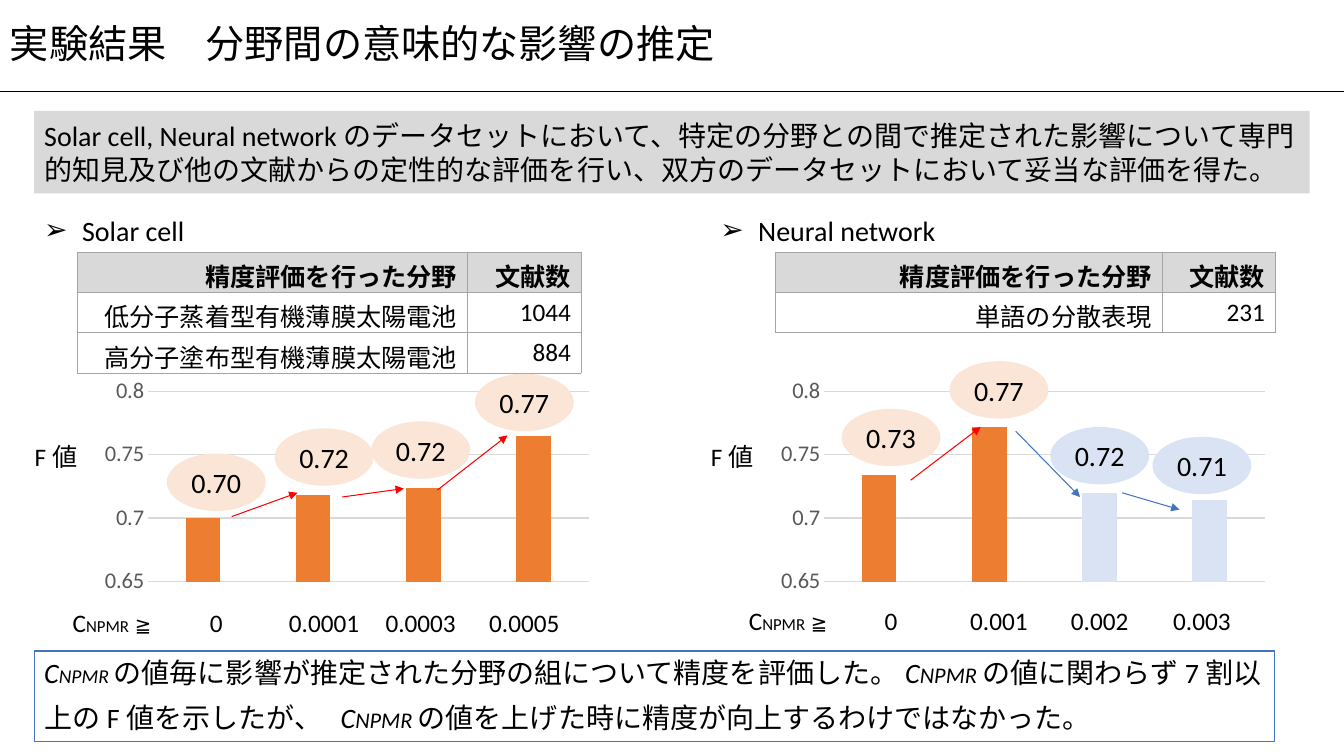
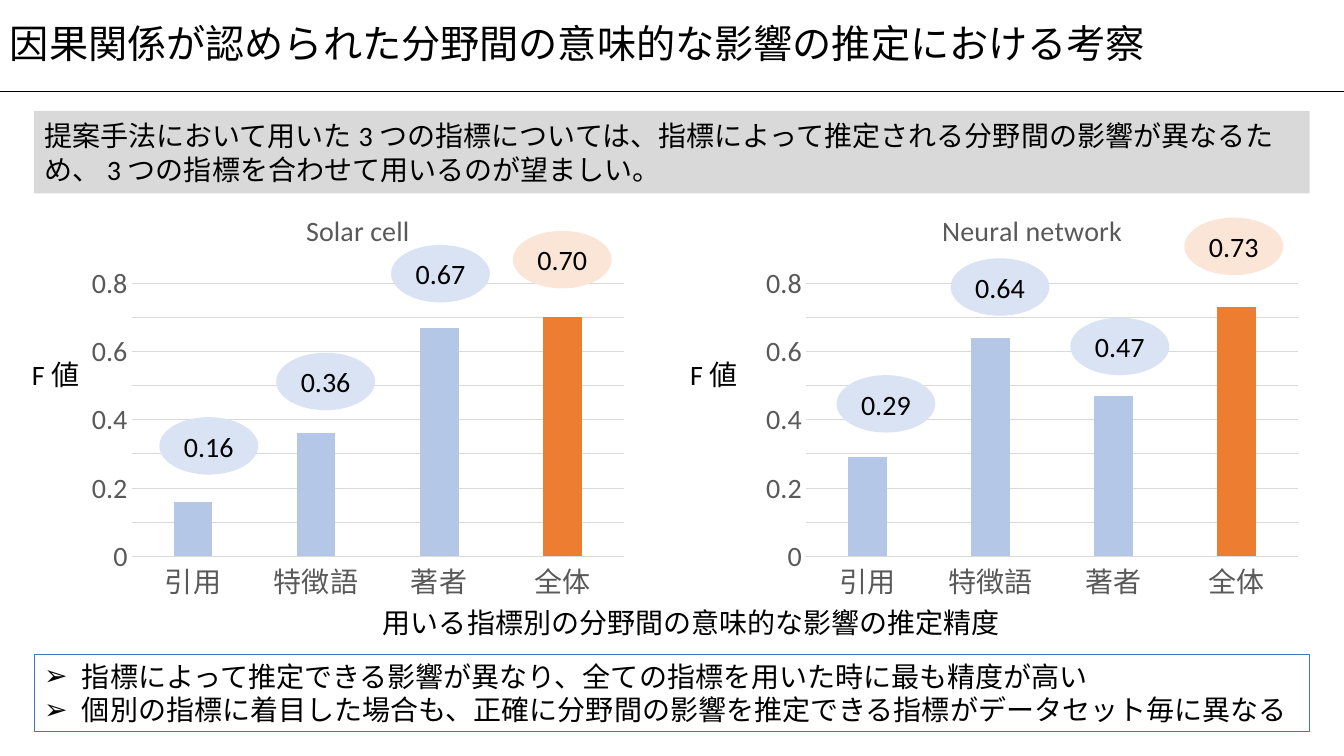
from collections import namedtuple
from dataclasses import dataclass
from itertools import pairwise

from lxml.etree import SubElement
from pptx import Presentation
from pptx.chart.data import CategoryChartData
from pptx.dml.color import RGBColor
from pptx.enum.chart import XL_CHART_TYPE as ChartType, XL_TICK_MARK as TickMark
from pptx.enum.shapes import MSO_CONNECTOR as Connector, MSO_SHAPE as Preset
from pptx.enum.text import MSO_ANCHOR as Anchor, PP_ALIGN as Align
from pptx.oxml.ns import qn
from pptx.util import Pt


@dataclass(frozen=True)
class Theme:
    font: str = "Calibri"
    bullet_font: str = "Arial"
    black: str = "000000"
    gray: str = "D9D9D9"
    border: str = "A5A5A5"
    axis_text: str = "595959"
    orange: str = "ED7D31"
    light_orange: str = "FBE5D6"
    blue: str = "4472C4"
    soft_blue: str = "B4C7E7"
    light_blue: str = "DAE3F3"
    red: str = "FF0000"
    title: int = 28
    body: int = 20
    label: int = 18
    axis: int = 16
    small: int = 14
    tiny: int = 12
    hairline: float = 0.75


THEME = Theme()
PAGE_WIDTH, PAGE_HEIGHT = 960, 540
MARGIN = 24.5
TITLE_HEIGHT = 65.5
OVAL_WIDTH, OVAL_HEIGHT = 70.6, 41
LABEL_WIDTH, LABEL_HEIGHT = 87, 29

Span = namedtuple("Span", "text size italic", defaults=(False,))


class Box(namedtuple("Box", "left top width height")):
    def at(self, left, top, width, height):
        """Box given relative to this one."""
        return Box(self.left + left, self.top + top, width, height)

    def lengths(self):
        return [Pt(value) for value in self]


def color(value):
    return RGBColor.from_string(value)


def set_font(font, size, ink=THEME.black, bold=False, italic=False):
    font.name, font.size = THEME.font, Pt(size)
    font.bold, font.italic = bold, italic
    font.color.rgb = color(ink)


def set_bullet(para):
    props = para._p.get_or_add_pPr()
    props.set("marL", str(Pt(27)))
    props.set("indent", str(-Pt(27)))
    SubElement(props, qn("a:buFont"), typeface=THEME.bullet_font)
    SubElement(props, qn("a:buChar"), char="➢")


def write(frame, text, *, size=THEME.body, bold=False, align=Align.LEFT,
          anchor=Anchor.TOP, spacing=None, bullet=False):
    """Fill a frame from a string (one paragraph a line) or a list of spans."""
    frame.word_wrap = True
    frame.vertical_anchor = anchor
    if isinstance(text, str):
        lines = [[Span(line, size)] for line in text.split("\n")]
    else:
        lines = [text]
    for number, spans in enumerate(lines):
        para = frame.add_paragraph() if number else frame.paragraphs[0]
        para.alignment = align
        if spacing:
            para.line_spacing = spacing
        if bullet:
            set_bullet(para)
        for item in spans:
            span = para.add_run()
            span.text = item.text
            set_font(span.font, item.size, bold=bold, italic=item.italic)


def add_text(page, box, text, **style):
    write(page.shapes.add_textbox(*box.lengths()).text_frame, text, **style)


def add_panel(page, box, text, *, preset=Preset.RECTANGLE, fill=None, line=None, **style):
    shape = page.shapes.add_shape(preset, *box.lengths())
    shape.shadow.inherit = False
    if fill:
        shape.fill.solid()
        shape.fill.fore_color.rgb = color(fill)
    else:
        shape.fill.background()
    if line:
        shape.line.color.rgb = color(line)
        shape.line.width = Pt(THEME.hairline)
    else:
        shape.line.fill.background()
    write(shape.text_frame, text, **style)


def add_line(page, box, start, end, ink, width, arrow=False):
    points = [Pt(value) for x, y in (start, end) for value in (box.left + x, box.top + y)]
    line = page.shapes.add_connector(Connector.STRAIGHT, *points)
    line.line.color.rgb = color(ink)
    line.line.width = Pt(width)
    if arrow:
        SubElement(line.line._get_or_add_ln(), qn("a:tailEnd"), type="triangle")
    SubElement(line._element.spPr, qn("a:effectLst"))


def add_page(deck, title, summary):
    """Page with the shared title, rule and gray summary band."""
    page = deck.slides.add_slide(deck.slide_layouts[6])
    header = Box(0, 0, PAGE_WIDTH, TITLE_HEIGHT)
    add_line(page, header, (0, TITLE_HEIGHT), (PAGE_WIDTH, TITLE_HEIGHT), THEME.black, 1)
    add_text(page, header, title, size=THEME.title, anchor=Anchor.MIDDLE, spacing=0.9)
    add_panel(page, Box(MARGIN, 79.2, PAGE_WIDTH - 2 * MARGIN, 59), summary,
              fill=THEME.gray, anchor=Anchor.MIDDLE)
    return page


def set_borders(cell):
    props = cell._tc.get_or_add_tcPr()
    for number, side in enumerate(("lnL", "lnR", "lnT", "lnB")):
        line = props.makeelement(qn(f"a:{side}"), {"w": str(Pt(0.5))})
        fill = SubElement(line, qn("a:solidFill"))
        SubElement(fill, qn("a:srgbClr"), val=THEME.border)
        props.insert(number, line)


def add_count_table(page, box, rows):
    rows = [("精度評価を行った分野", "文献数"), *rows]
    table = page.shapes.add_table(len(rows), 2, *box.lengths()).table
    table.first_row = table.horz_banding = False
    for column, share in zip(table.columns, (0.774, 0.226)):
        column.width = Pt(box.width * share)
    for number, texts in enumerate(rows):
        table.rows[number].height = Pt(box.height / len(rows))
        for column, text in enumerate(texts):
            cell = table.cell(number, column)
            if number == 0:
                cell.fill.solid()
                cell.fill.fore_color.rgb = color(THEME.gray)
            else:
                cell.fill.background()
            set_borders(cell)
            write(cell.text_frame, text, size=THEME.label, bold=number == 0, align=Align.RIGHT)


def add_column_chart(page, box, categories, values, inks, *, size, title=None, limits=None):
    """Column chart; without a title its category axis is hidden too."""
    data = CategoryChartData()
    data.categories = categories
    data.add_series("F値", values)
    chart = page.shapes.add_chart(ChartType.COLUMN_CLUSTERED, *box.lengths(), data).chart
    set_font(chart.font, size, THEME.axis_text)
    chart.has_legend = False
    chart.has_title = bool(title)
    if title:
        frame = chart.chart_title.text_frame
        frame.text = title
        set_font(frame.paragraphs[0].runs[0].font, size, THEME.axis_text)

    plot = chart.plots[0]
    plot.vary_by_categories = False
    plot.gap_width, plot.overlap = 219, -27
    for number, ink in enumerate(inks):
        fill = plot.series[0].points[number].format.fill
        fill.solid()
        fill.fore_color.rgb = color(ink)

    for axis in (chart.category_axis, chart.value_axis):
        axis.major_tick_mark = axis.minor_tick_mark = TickMark.NONE
        set_font(axis.tick_labels.font, size, THEME.axis_text)
    chart.category_axis.visible = bool(title)
    chart.value_axis.format.line.fill.background()
    chart.value_axis.has_major_gridlines = True
    for line in (chart.category_axis.format.line, chart.value_axis.major_gridlines.format.line):
        line.color.rgb = color(THEME.gray)
        line.width = Pt(THEME.hairline)
    if limits:
        axis = chart.value_axis
        axis.minimum_scale, axis.maximum_scale, axis.major_unit = limits


def add_score(page, box, center, top, value, fill):
    add_panel(page, box.at(center - OVAL_WIDTH / 2, top, OVAL_WIDTH, OVAL_HEIGHT),
              f"{value:.2f}", preset=Preset.OVAL, fill=fill,
              align=Align.CENTER, anchor=Anchor.MIDDLE)


def add_threshold_panel(page, box, heading, table_box, rows, columns, arrows, label_top):
    """Heading, table and chart; columns hold (threshold, value, center, oval top, strong)."""
    add_text(page, box.at(0, 0, box.width, 31), heading, bullet=True)
    add_count_table(page, box.at(*table_box), rows)
    add_column_chart(page, box.at(43.2, 117.4, 360, 162),
                     [column[0] for column in columns], [column[1] for column in columns],
                     [THEME.orange if column[4] else THEME.light_blue for column in columns],
                     size=THEME.axis, limits=(0.65, 0.8, 0.05))

    label = {"size": THEME.label, "align": Align.CENTER}
    index_spans = [Span("C", THEME.label), Span("NPMR", THEME.tiny), Span(" ", THEME.label),
                   Span("≧", THEME.small), Span(" ", THEME.label)]
    add_text(page, box.at(14, label_top, LABEL_WIDTH, LABEL_HEIGHT), index_spans, **label)
    add_text(page, box.at(-26, 163, LABEL_WIDTH, LABEL_HEIGHT), "F値 ", **label)
    for threshold, value, center, top, strong in columns:
        label_box = box.at(center - LABEL_WIDTH / 2, label_top, LABEL_WIDTH, LABEL_HEIGHT)
        add_text(page, label_box, threshold, **label)
        add_score(page, box, center, top, value,
                  THEME.light_orange if strong else THEME.light_blue)

    for (start, end), (before, after) in zip(arrows, pairwise(columns)):
        ink = THEME.red if after[1] > before[1] else THEME.blue
        add_line(page, box, start, end, ink, THEME.hairline, arrow=True)


def add_indicator_panel(page, box, title, values, ovals, label_left):
    """Chart by indicator; the last column, all indicators together, stands out."""
    weak = len(values) - 1
    add_column_chart(page, box, ["引用", "特徴語", "著者", "全体"], values,
                     [THEME.soft_blue] * weak + [THEME.orange], size=THEME.body, title=title)
    add_text(page, box.at(label_left, 114.5, LABEL_WIDTH, 31), "F値 ", align=Align.CENTER)
    fills = [THEME.light_blue] * weak + [THEME.light_orange]
    for value, (center, top), fill in zip(values, ovals, fills):
        add_score(page, box, center, top, value, fill)


def build_results(deck):
    page = add_page(
        deck, "実験結果　分野間の意味的な影響の推定",
        "Solar cell, Neural networkのデータセットにおいて、特定の分野との間で推定された影響について"
        "専門的知見及び他の文献からの定性的な評価を行い、双方のデータセットにおいて妥当な評価を得た。")
    solar = Box(MARGIN, 149, 430, 310)
    add_threshold_panel(
        page, solar, "Solar cell", (30.5, 31, 360, 86.4),
        [("低分子蒸着型有機薄膜太陽電池", "1044"), ("高分子塗布型有機薄膜太陽電池", "884")],
        [("0", 0.7, 130, 175, True), ("0.0001", 0.718, 207, 157, True),
         ("0.0003", 0.724, 276, 152, True), ("0.0005", 0.765, 350, 118, True)],
        [((141, 220), (188, 203)), ((220, 206), (264, 200)), ((288, 201), (338, 162))], 281)
    add_threshold_panel(
        page, solar._replace(left=solar.left + 483), "Neural network", (46.2, 31, 357, 57.6),
        [("単語の分散表現", "231")],
        [("0", 0.734, 129, 143, True), ("0.001", 0.772, 206, 109, True),
         ("0.002", 0.72, 278, 156, False), ("0.003", 0.714, 351, 163, False)],
        [((143, 194), (193, 156)), ((218, 159), (264, 206)), ((294, 203), (335, 215))], 280)

    body = THEME.body
    index = Span("C", body, True), Span("NPMR", THEME.axis, True)
    add_panel(page, Box(MARGIN, 465, 886, 65), [
        index[0], Span("NPMR", THEME.small, True),
        Span("の値毎に影響が推定された分野の組について精度を評価した。", body), *index,
        Span("の値に関わらず7割以上のF値を示したが、", body),
        Span(" ", THEME.title, True), *index,
        Span("の値を上げた時に精度が向上するわけではなかった。", body)], line=THEME.blue)


def build_discussion(deck):
    page = add_page(
        deck, "因果関係が認められた分野間の意味的な影響の推定における考察",
        "提案手法において用いた3つの指標については、指標によって推定される分野間の影響が異なるため、"
        "3つの指標を合わせて用いるのが望ましい。")
    add_panel(page, Box(MARGIN, 467.3, PAGE_WIDTH - 2 * MARGIN, 55.4),
              "指標によって推定できる影響が異なり、全ての指標を用いた時に最も精度が高い\n"
              "個別の指標に着目した場合も、正確に分野間の影響を推定できる指標がデータセット毎に異なる",
              line=THEME.blue, bullet=True)
    solar = Box(57.6, 137.5, 396, 298)
    add_indicator_panel(page, solar, "Solar cell", [0.16, 0.36, 0.67, 0.7],
                        [(91.5, 160.5), (175, 114.5), (257, 37.5), (344, 27.5)], -59)
    add_indicator_panel(page, solar._replace(left=539.3), "Neural network",
                        [0.29, 0.64, 0.47, 0.73],
                        [(93.5, 130.5), (175, 47), (260.5, 89.5), (342, 18)], -70.5)
    add_text(page, Box(247.7, 429, 497, 31),
             "用いる指標別の分野間の意味的な影響の推定精度 ", align=Align.CENTER)


def main():
    deck = Presentation()
    deck.slide_width, deck.slide_height = Pt(PAGE_WIDTH), Pt(PAGE_HEIGHT)
    build_results(deck)
    build_discussion(deck)
    deck.save("out.pptx")


if __name__ == "__main__":
    main()
